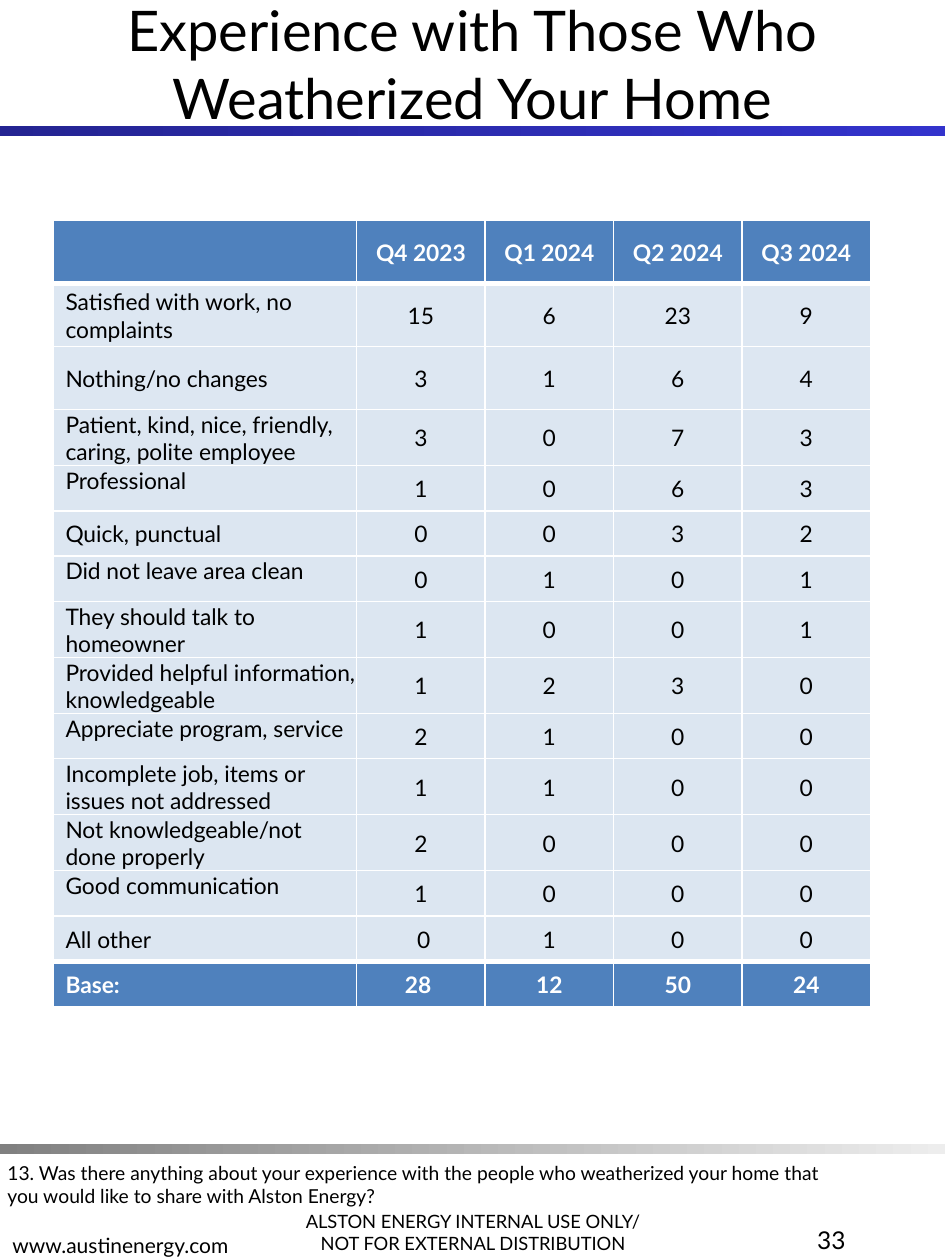
"""Builds the survey slide on experience with weatherization crews."""
from lxml.etree import SubElement
from pptx import Presentation
from pptx.dml.color import RGBColor
from pptx.enum.shapes import MSO_SHAPE
from pptx.enum.text import MSO_ANCHOR as ANC, MSO_AUTO_SIZE as AUTO, PP_ALIGN as AL
from pptx.oxml.ns import qn
from pptx.util import Inches, Pt


def color(value):
    return RGBColor.from_string(value)


def write(tf, text, size, align=AL.LEFT, fg="000000", bold=False):
    tf.text = text
    for p in tf.paragraphs:
        p.alignment = align
        p.font.color.rgb = color(fg)
        for name, value in {"name": "Lato", "size": Pt(size), "bold": bold}.items():
            setattr(p.font, name, value)


BLUE, WHITE = "4F81BD", "FFFFFF"

prs = Presentation()
prs.slide_width, prs.slide_height = Inches(7.5), Inches(10)
s = prs.slides.add_slide(prs.slide_layouts[5])

for top, start, end in [(1, "242492", "3333CC"), (9.08, "808080", "EDEDED")]:
    sp = s.shapes.add_shape(MSO_SHAPE.RECTANGLE, 0, Inches(top), Inches(7.5), Inches(0.08))
    sp.shadow.inherit = False
    sp.line.fill.background()
    sp.fill.gradient()
    sp.fill.gradient_angle = 0
    for stop, value in zip(sp.fill.gradient_stops, (start, end)):
        stop.color.rgb = color(value)

title = s.shapes.title
for name, value in {"left": 0, "top": 0, "width": 7.5, "height": 1}.items():
    setattr(title, name, Inches(value))
title.text_frame.auto_size = AUTO.NONE
title.text_frame.vertical_anchor = ANC.MIDDLE
write(title.text_frame, "Experience with Those Who Weatherized Your Home", 32, AL.CENTER)

question = ("13. Was there anything about your experience with the people who weatherized "
            "your home that you would like to share with Alston Energy?")
notice = "ALSTON ENERGY INTERNAL USE ONLY/\nNOT FOR EXTERNAL DISTRIBUTION"
for box, text, size, align, anchor in [
    ((2.16, 9.33, 3.19, 0.67), notice, 10.5, AL.CENTER, ANC.BOTTOM),
    ((0, 9.36, 3.19, 0.67), "www.austinenergy.com", 12, AL.LEFT, ANC.BOTTOM),
    ((5.25, 9.67, 1.56, 0.67), "33", 14, AL.RIGHT, ANC.TOP),
    ((-0.04, 9.17, 6.85, 0.47), question, 11, AL.LEFT, ANC.TOP),
]:
    tf = s.shapes.add_textbox(*map(Inches, box)).text_frame
    tf.word_wrap = True
    tf.vertical_anchor = anchor
    write(tf, text, size, align)

rows = [
    ("", "Q4 2023", "Q1 2024", "Q2 2024", "Q3 2024"),
    ("Satisfied with work, no complaints", "15", "6", "23", "9"),
    ("Nothing/no changes", "3", "1", "6", "4"),
    ("Patient, kind, nice, friendly, caring, polite employee", "3", "0", "7", "3"),
    ("Professional", "1", "0", "6", "3"),
    ("Quick, punctual", "0", "0", "3", "2"),
    ("Did not leave area clean", "0", "1", "0", "1"),
    ("They should talk to homeowner", "1", "0", "0", "1"),
    ("Provided helpful information, knowledgeable", "1", "2", "3", "0"),
    ("Appreciate program, service", "2", "1", "0", "0"),
    ("Incomplete job, items or issues not addressed", "1", "1", "0", "0"),
    ("Not knowledgeable/not done properly", "2", "0", "0", "0"),
    ("Good communication", "1", "0", "0", "0"),
    ("All other", " 0", "1", "0", "0"),
    ("Base:", "28 ", "12", "50", "24"),
]
last = len(rows) - 1
top_labels = {3, 4, 6, 8, 9, 10, 12}

table = s.shapes.add_table(len(rows), 5, Inches(0.42), Inches(1.75),
                           Inches(6.49), Inches(5.82)).table
for c, col in enumerate(table.columns):
    col.width = Inches(1.02 if c else 2.41)
for r, values in enumerate(rows):
    table.rows[r].height = Inches(0.5 if r < 3 else 0.36)
    band = r in (0, last)
    for c, text in enumerate(values):
        cell = table.cell(r, c)
        margins = {"left": 0.01 if c else 0.1, "top": 0.01, "right": 0.01, "bottom": 0}
        for side, value in margins.items():
            setattr(cell, f"margin_{side}", Inches(value))
        cell.vertical_anchor = ANC.TOP if c == 0 and r in top_labels else ANC.MIDDLE
        write(cell.text_frame, text, 13, AL.CENTER if c else AL.LEFT,
              WHITE if band else "000000", band)
        tc_pr = cell._tc.get_or_add_tcPr()
        edges = {"L": 1, "R": 1, "T": 3 if r in (1, last) else 1,
                 "B": 3 if r in (0, last - 1) else 1}
        for side, width in edges.items():
            ln = SubElement(tc_pr, qn(f"a:ln{side}"), w=str(Pt(width)))
            SubElement(SubElement(ln, qn("a:solidFill")), qn("a:srgbClr"), val=WHITE)
        cell.fill.solid()
        cell.fill.fore_color.rgb = color(BLUE if band else "DDE7F2" if r < 3 else "DCE6F1")

prs.save("out.pptx")
